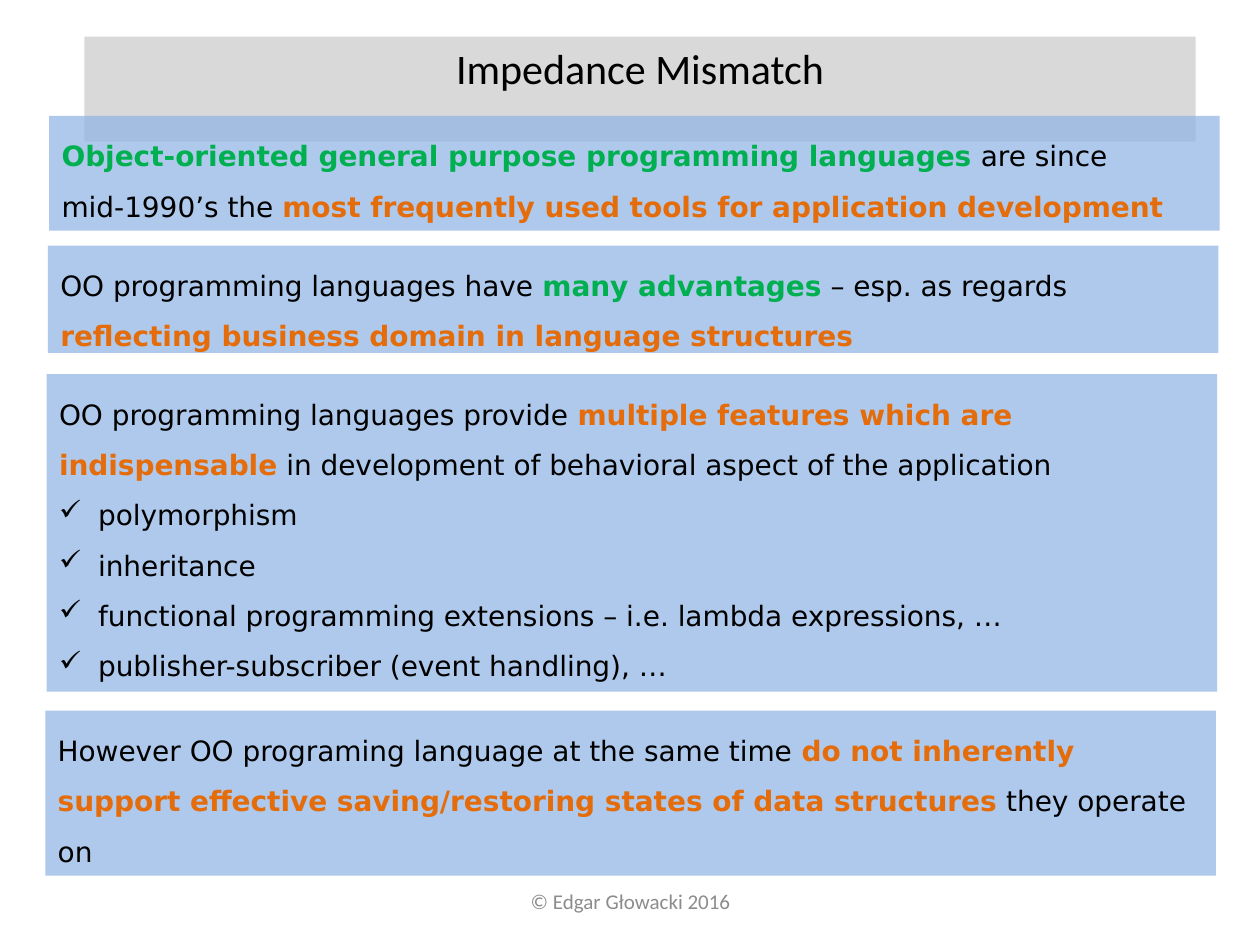
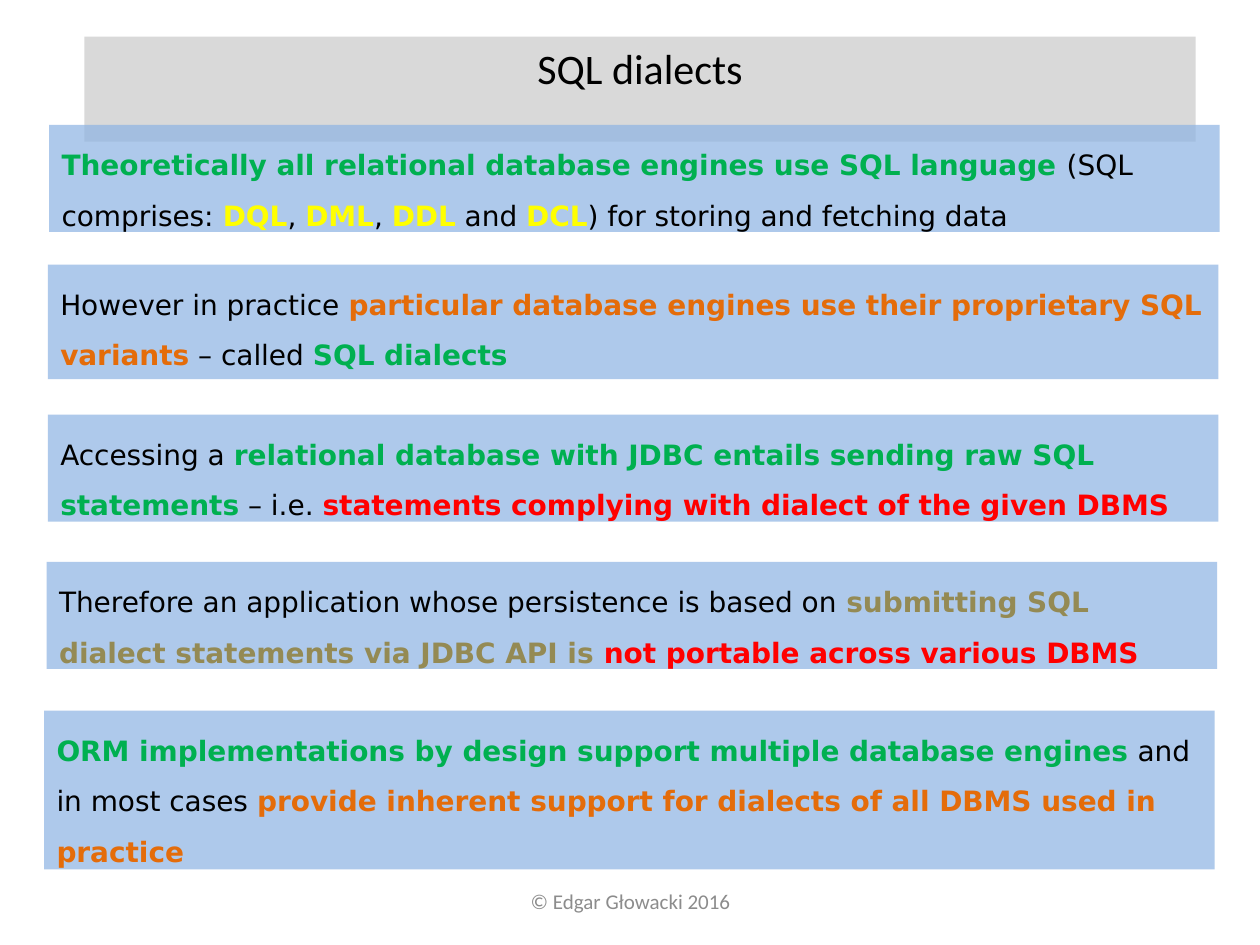
from pptx import Presentation
from pptx.dml.color import RGBColor as Rgb
from pptx.enum.shapes import MSO_SHAPE as Shape
from pptx.enum.text import MSO_ANCHOR as Anchor, MSO_AUTO_SIZE as Fit, PP_ALIGN as Align
from pptx.oxml.ns import qn
from pptx.util import Inches, Pt
from lxml.etree import SubElement as Sub

HUES = {"black": "000000", "green": "00B050", "orange": "E46C0A", "yellow": "FFFF00",
        "red": "FF0000", "olive": "948A54", "gray": "8C8C8C", "band": "D9D9D9", "box": "8EB4E3"}
FOOT = "© Edgar Głowacki 2016"
WIDTH, INDENT, ALPHA = 9.29, 0.31, 71

SLIDES = [
    ("Impedance Mismatch", [
        (0.39, 0.92, 0.91, [
            ("Object-oriented general purpose programming languages", "green"),
            (" are since mid-1990’s the ", "black"),
            ("most frequently used tools for application development", "orange")], []),
        (0.38, 1.95, 0.85, [
            ("OO programming languages have ", "black"),
            ("many advantages", "green"),
            (" – esp. as regards ", "black"),
            ("reflecting business domain in language structures", "orange")], []),
        (0.37, 2.97, 2.52, [
            ("OO programming languages provide ", "black"),
            ("multiple features which are indispensable", "orange"),
            (" in development of behavioral aspect of the application", "black")],
            ["polymorphism", "inheritance",
             "functional programming extensions – i.e. lambda expressions, …",
             "publisher-subscriber (event handling), …"]),
        (0.36, 5.64, 1.31, [
            ("However OO programing language at the same time ", "black"),
            ("do not inherently support effective saving/restoring states of data structures",
             "orange"),
            (" they operate on", "black")], []),
    ]),
    ("SQL dialects", [
        (0.39, 0.99, 0.85, [
            ("Theoretically all relational database engines use SQL language ", "green"),
            ("(SQL comprises: ", "black"),
            ("DQL", "yellow"), (", ", "black"),
            ("DML", "yellow"), (", ", "black"),
            ("DDL", "yellow"), (" and ", "black"),
            ("DCL", "yellow"), (") for storing and fetching data", "black")], []),
        (0.38, 2.1, 0.91, [
            ("However in practice ", "black"),
            ("particular database engines use their proprietary SQL variants", "orange"),
            (" – called ", "black"),
            ("SQL dialects", "green")], []),
        (0.38, 3.29, 0.85, [
            ("Accessing a ", "black"),
            ("relational database with JDBC entails sending raw SQL statements", "green"),
            (" – i.e. ", "black"),
            ("statements complying with dialect of the given DBMS", "red")], []),
        (0.37, 4.46, 0.85, [
            ("Therefore an application whose persistence is based on ", "black"),
            ("submitting SQL dialect statements via JDBC API is ", "olive"),
            ("not portable across various DBMS", "red")], []),
        (0.35, 5.64, 1.26, [
            ("ORM implementations by design support multiple database engines", "green"),
            (" and in most cases ", "black"),
            ("provide inherent support for dialects of all DBMS used in practice", "orange")], []),
    ]),
]

FRAME = {"word_wrap": True, "auto_size": Fit.SHAPE_TO_FIT_TEXT, "vertical_anchor": Anchor.TOP}
MID = {**FRAME, "auto_size": Fit.NONE, "vertical_anchor": Anchor.MIDDLE}
HEAD = {"name": "Calibri", "size": Pt(24), "bold": False}
NOTE = {**HEAD, "size": Pt(12)}
BODY = {"name": "DejaVu Sans", "size": Pt(16)}
LEFT = {"alignment": Align.LEFT, "line_spacing": 1.5}
MIDDLE = {"alignment": Align.CENTER}


def style(item, form):
    for key, val in form.items():
        setattr(item, key, val)


def place(*nums):
    return [Inches(num) for num in nums]


def paint(shape, hue):
    shape.fill.solid()
    shape.fill.fore_color.rgb = Rgb.from_string(HUES[hue])


def write(para, runs, font, form):
    style(para, form)
    for text, hue in runs:
        run = para.add_run()
        run.text = text
        style(run.font, {"bold": hue != "black", **font})
        run.font.color.rgb = Rgb.from_string(HUES[hue])


def tick(para):
    props = para._p.get_or_add_pPr()
    props.set("marL", str(Inches(INDENT)))
    props.set("indent", str(-Inches(INDENT)))
    Sub(props, qn("a:buChar")).set("char", "✓")


def add_head(slide, text):
    head = slide.shapes.title
    style(head, dict(zip(("left", "top", "width", "height"), place(0.67, 0.29, 8.82, 0.5))))
    paint(head, "band")
    style(head.text_frame, FRAME)
    write(head.text_frame.paragraphs[0], [(text, "black")], HEAD, MIDDLE)


def add_foot(slide):
    frame = slide.shapes.add_textbox(*place(3.42, 6.95, 3.17, 0.4)).text_frame
    style(frame, MID)
    write(frame.paragraphs[0], [(FOOT, "gray")], NOTE, MIDDLE)


def add_box(slide, left, top, height, runs, points):
    box = slide.shapes.add_shape(Shape.RECTANGLE, *place(left, top, WIDTH, height))
    box.shadow.inherit = False
    box.line.fill.background()
    paint(box, "box")
    tint = box._element.spPr.find(qn("a:solidFill"))[0]
    Sub(tint, qn("a:alpha")).set("val", str(ALPHA * 1000))
    frame = box.text_frame
    style(frame, FRAME)
    write(frame.paragraphs[0], runs, BODY, LEFT)
    for point in points:
        para = frame.add_paragraph()
        write(para, [(point, "black")], BODY, LEFT)
        tick(para)


deck = Presentation()
style(deck, {"slide_width": Inches(10), "slide_height": Inches(7.5)})
for title, boxes in SLIDES:
    slide = deck.slides.add_slide(deck.slide_layouts[5])
    add_foot(slide)
    add_head(slide, title)
    for box in boxes:
        add_box(slide, *box)
deck.save("out.pptx")
